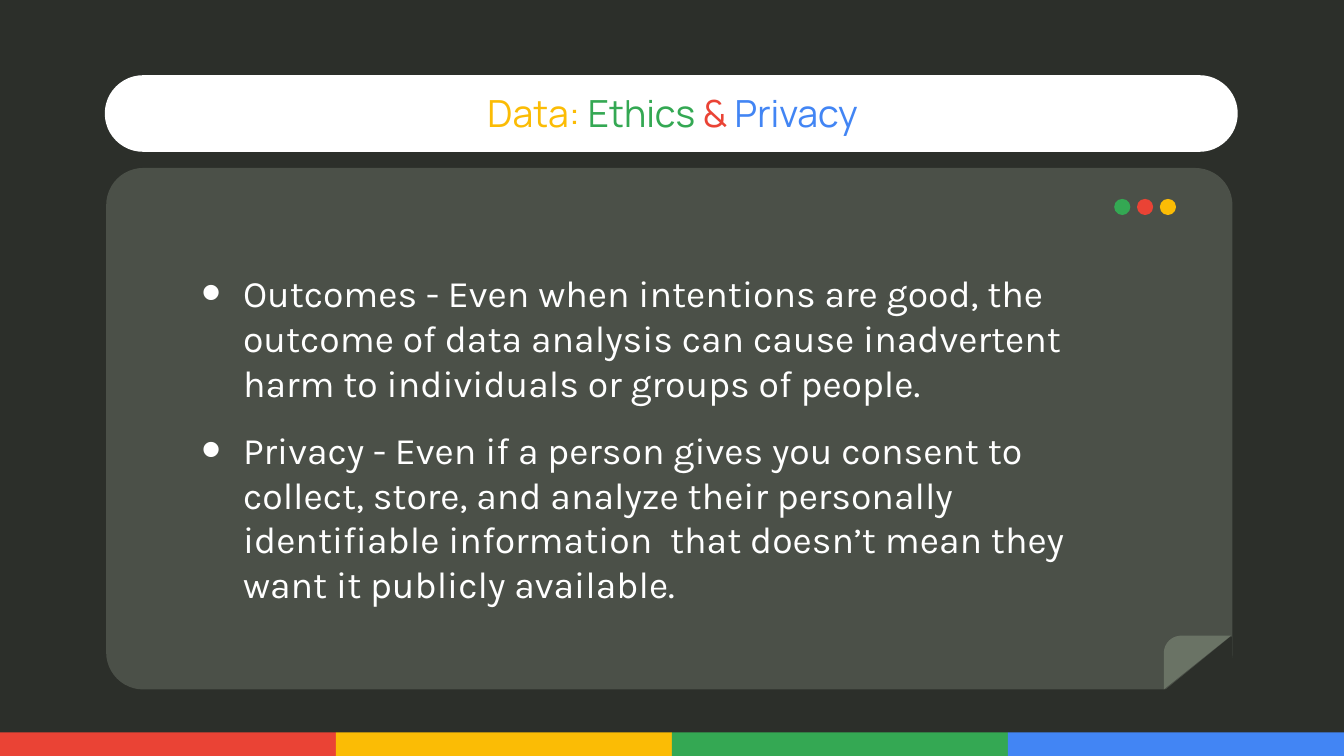
"""Build a slide on data ethics and privacy."""
import math

import pptx
import pptx.dml.color
import pptx.enum.shapes
import pptx.enum.text
import pptx.oxml
import pptx.oxml.ns
import pptx.util

Inches, Pt = pptx.util.Inches, pptx.util.Pt
KIND = pptx.enum.shapes.MSO_SHAPE
ALIGN = pptx.enum.text.PP_ALIGN

DARK, PANEL, FOLD, WHITE = "2C2F2A", "4B5048", "6A7365", "FFFFFF"
RED, GOLD, GREEN, BLUE = "EA4335", "FBBC05", "34A853", "4285F4"

TITLE = [("Data: ", GOLD), ("Ethics", GREEN), (" & ", RED), ("Privacy", BLUE)]
POINTS = [
    "Outcomes - Even when intentions are good, the outcome of data analysis "
    "can cause inadvertent harm to individuals or groups of people.",
    "Privacy - Even if a person gives you consent to collect, store, and "
    "analyze their personally identifiable information  that doesn’t mean "
    "they want it publicly available.",
]
BARS = [RED, GOLD, GREEN, BLUE]
DOTS = [GREEN, RED, GOLD]
WIDE = 10
HIGH = WIDE * 9 / 16
HEAD = {"size": Pt(20), "name": "Manrope"}
BODY = {"size": Pt(20), "name": "Karla"}


def rgb(code):
    """Turn a hex string into a colour."""
    return pptx.dml.color.RGBColor.from_string(code)


def paint(shape, color):
    """Give a shape a flat fill with no line or shadow."""
    shape.shadow.inherit = False
    shape.fill.solid()
    shape.fill.fore_color.rgb = rgb(color)
    shape.line.fill.background()
    return shape


def draw(slide, kind, box, color, adj=None):
    """Add a painted preset shape."""
    shape = slide.shapes.add_shape(kind, *map(Inches, box))
    if adj is not None:
        shape.adjustments[0] = adj
    return paint(shape, color)


def frame(slide, box):
    """Add a wrapped, middle-anchored text box."""
    text = slide.shapes.add_textbox(*map(Inches, box)).text_frame
    look = {"word_wrap": True,
            "vertical_anchor": pptx.enum.text.MSO_ANCHOR.MIDDLE}
    for side in ("left", "right", "top", "bottom"):
        look["margin_" + side] = Inches(0.1)
    for key, value in look.items():
        setattr(text, key, value)
    return text


def write(para, words, look, color):
    """Add one formatted run."""
    run = para.add_run()
    run.text = words
    for key, value in look.items():
        setattr(run.font, key, value)
    run.font.color.rgb = rgb(color)


def bullet(para):
    """Give a paragraph a large white bullet and hanging indent."""
    para.space_after = Pt(12)
    props = para._p.get_or_add_pPr()
    props.set("marL", str(Inches(0.45)))
    props.set("indent", str(Inches(-0.31)))
    space = pptx.oxml.ns.nsdecls("a")
    for part in (f'<a:buClr {space}><a:srgbClr val="{WHITE}"/></a:buClr>',
                 f'<a:buSzPct {space} val="150000"/>',
                 f'<a:buFont {space} typeface="Arial"/>',
                 f'<a:buChar {space} char="•"/>'):
        props.append(pptx.oxml.parse_xml(part))


def fold(slide, left, top, wide, high, curve=0.13):
    """Draw the turned page corner with one rounded edge."""
    arc = [math.radians(90 + 9 * step) for step in range(11)]
    dots = [(left + curve * (1 + math.cos(turn)),
             top + curve * (1 - math.sin(turn))) for turn in arc]
    dots += [(left, top + high), (left + wide, top)]
    spots = [(Inches(x), Inches(y)) for x, y in dots]
    pen = slide.shapes.build_freeform(*spots[0])
    pen.add_line_segments(spots[1:], close=True)
    paint(pen.convert_to_shape(), FOLD)


def main():
    """Lay out the slide and save it."""
    deck = pptx.Presentation()
    deck.slide_width, deck.slide_height = Inches(WIDE), Inches(HIGH)
    slide = deck.slides.add_slide(deck.slide_layouts[6])
    slide.background.fill.solid()
    slide.background.fill.fore_color.rgb = rgb(DARK)

    draw(slide, KIND.ROUNDED_RECTANGLE, (0.78, 0.56, 8.43, 0.57), WHITE, 0.5)
    para = frame(slide, (0.79, 0.59, 8.43, 0.5)).paragraphs[0]
    para.alignment = ALIGN.CENTER
    for words, color in TITLE:
        write(para, words, HEAD, color)

    step = WIDE / len(BARS)
    for place, color in enumerate(BARS):
        draw(slide, KIND.RECTANGLE, (place * step, 5.45, step, HIGH - 5.45),
             color)

    draw(slide, KIND.ROUNDED_RECTANGLE, (0.79, 1.25, 8.38, 3.88), PANEL, 0.071)
    notch = draw(slide, KIND.RIGHT_TRIANGLE, (8.67, 4.74, 0.49, 0.4), DARK)
    notch.line.color.rgb = rgb(DARK)
    notch.line.width = Pt(0.75)
    notch._element.spPr.get_or_add_xfrm().set("flipH", "1")
    fold(slide, 8.66, 4.73, 0.5, 0.4)

    text = frame(slide, (1.26, 1.52, 7.39, 3.48))
    for place, words in enumerate(POINTS):
        para = text.add_paragraph() if place else text.paragraphs[0]
        para.alignment = ALIGN.LEFT
        bullet(para)
        write(para, words, BODY, WHITE)

    for place, color in enumerate(DOTS):
        draw(slide, KIND.OVAL, (8.29 + 0.17 * place, 1.48, 0.12, 0.12), color)

    deck.save("out.pptx")


if __name__ == "__main__":
    main()
